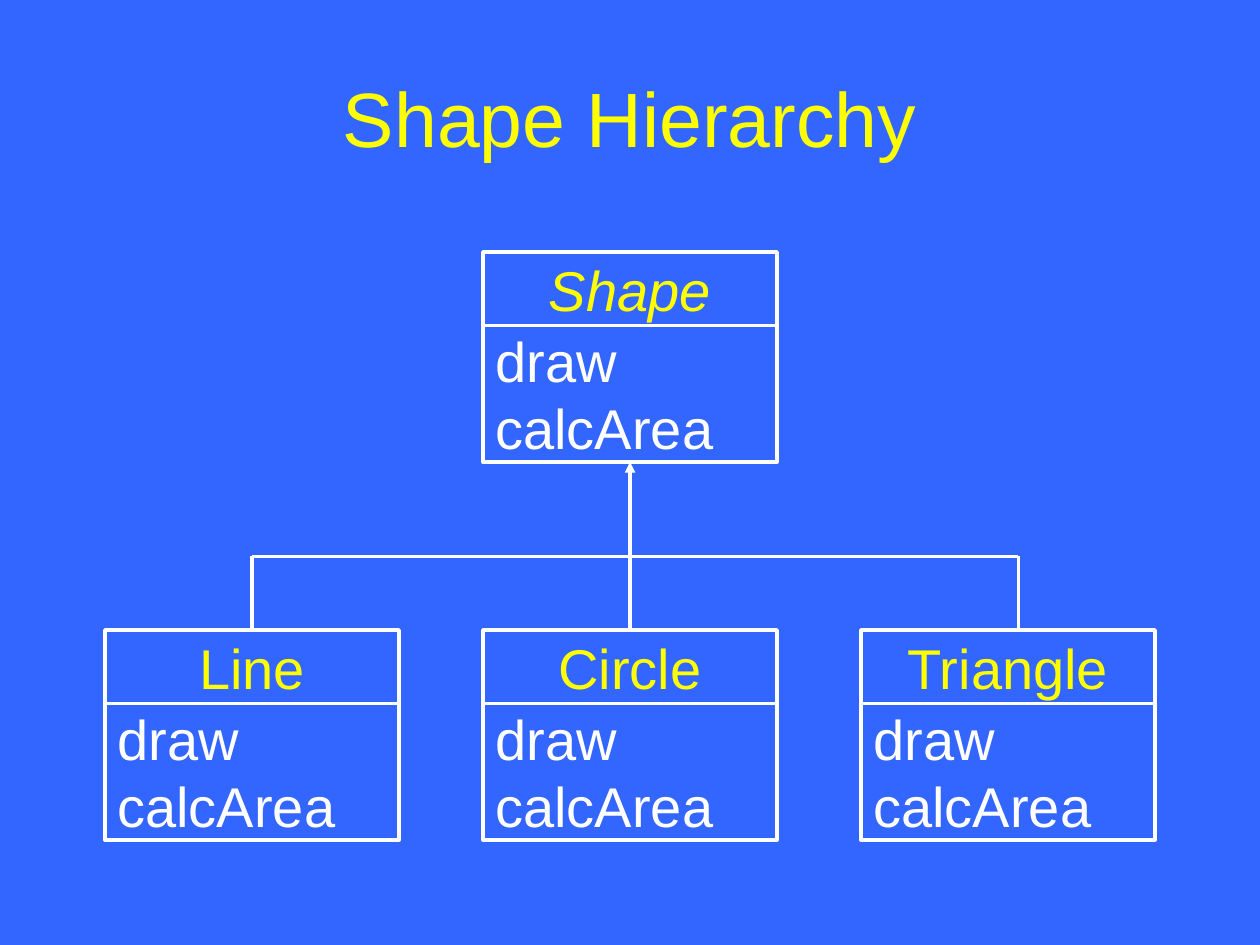
from dataclasses import dataclass

from lxml import etree
from pptx import Presentation
from pptx.dml.color import RGBColor
from pptx.enum import shapes, text
from pptx.oxml.ns import qn
from pptx.util import Pt

TITLE = "Shape Hierarchy"
METHODS = ["draw", "calcArea"]
PARENT = "Shape"
CHILDREN = ["Line", "Circle", "Triangle"]


@dataclass(frozen=True)
class Theme:
    font: str = "Arial"
    background: RGBColor = RGBColor(0x33, 0x66, 0xFF)
    heading: RGBColor = RGBColor(0xFF, 0xFF, 0x00)
    ink: RGBColor = RGBColor(0xFF, 0xFF, 0xFF)
    title_size: int = 44
    box_size: int = 32
    line_width: int = 2


THEME = Theme()

# Layout in points
SLIDE_WIDTH, SLIDE_HEIGHT = 720, 540
BOX_WIDTH, NAME_HEIGHT, METHODS_HEIGHT = 168, 42, 78
CHILD_LEFT, CHILD_STEP = 60, 216
PARENT_TOP, CHILD_TOP = 144, 360
PARENT_BOTTOM = PARENT_TOP + NAME_HEIGHT + METHODS_HEIGHT
CENTER = SLIDE_WIDTH / 2
BUS_LEFT, BUS_RIGHT, BUS_Y = 144, 582, 318
JOINT_Y = 330


def format_text(frame, lines, size, color, alignment, italic=False):
    frame.text = "\n".join(lines)
    frame.word_wrap = True
    frame.vertical_anchor = text.MSO_ANCHOR.MIDDLE
    frame.margin_left = frame.margin_right = Pt(7.2)
    frame.margin_top = frame.margin_bottom = Pt(3.6)
    for paragraph in frame.paragraphs:
        paragraph.alignment = alignment
        for run in paragraph.runs:
            run.font.name = THEME.font
            run.font.size = Pt(size)
            run.font.italic = italic
            run.font.color.rgb = color


def style_line(line):
    line.color.rgb = THEME.ink
    line.width = Pt(THEME.line_width)


def add_box(slide, left, top, height, lines, color, alignment, italic=False):
    shape = slide.shapes.add_shape(
        shapes.MSO_SHAPE.RECTANGLE, Pt(left), Pt(top), Pt(BOX_WIDTH), Pt(height))
    shape.shadow.inherit = False
    shape.fill.background()
    style_line(shape.line)
    format_text(shape.text_frame, lines, THEME.box_size, color, alignment, italic)


def add_class(slide, name, left, top, abstract=False):
    """Draw a class as a name box above a methods box."""
    add_box(slide, left, top, NAME_HEIGHT, [name], THEME.heading,
            text.PP_ALIGN.CENTER, abstract)
    add_box(slide, left, top + NAME_HEIGHT, METHODS_HEIGHT, METHODS, THEME.ink,
            text.PP_ALIGN.LEFT)


def add_line(slide, start, end, arrow=False):
    connector = slide.shapes.add_connector(
        shapes.MSO_CONNECTOR.STRAIGHT, *map(Pt, start + end))
    style_line(connector.line)
    properties = connector._element.spPr
    if arrow:
        etree.SubElement(properties.find(qn("a:ln")), qn("a:tailEnd"), type="triangle")
    etree.SubElement(properties, qn("a:effectLst"))


def main():
    presentation = Presentation()
    presentation.slide_width, presentation.slide_height = Pt(SLIDE_WIDTH), Pt(SLIDE_HEIGHT)
    slide = presentation.slides.add_slide(presentation.slide_layouts[5])
    slide.background.fill.solid()
    slide.background.fill.fore_color.rgb = THEME.background

    title = slide.shapes.title
    title.left, title.top, title.width, title.height = map(Pt, (36, 21.6, 648, 90))
    format_text(title.text_frame, [TITLE], THEME.title_size, THEME.heading,
                text.PP_ALIGN.CENTER)

    add_line(slide, (CENTER, JOINT_Y), (CENTER, PARENT_BOTTOM), arrow=True)
    add_line(slide, (BUS_LEFT, BUS_Y), (BUS_RIGHT, BUS_Y))
    for x, y in ((BUS_LEFT, BUS_Y), (CENTER, JOINT_Y), (BUS_RIGHT, BUS_Y)):
        add_line(slide, (x, y), (x, CHILD_TOP))

    add_class(slide, PARENT, CENTER - BOX_WIDTH / 2, PARENT_TOP, abstract=True)
    for index, name in enumerate(CHILDREN):
        add_class(slide, name, CHILD_LEFT + index * CHILD_STEP, CHILD_TOP)

    presentation.save("out.pptx")


if __name__ == "__main__":
    main()
